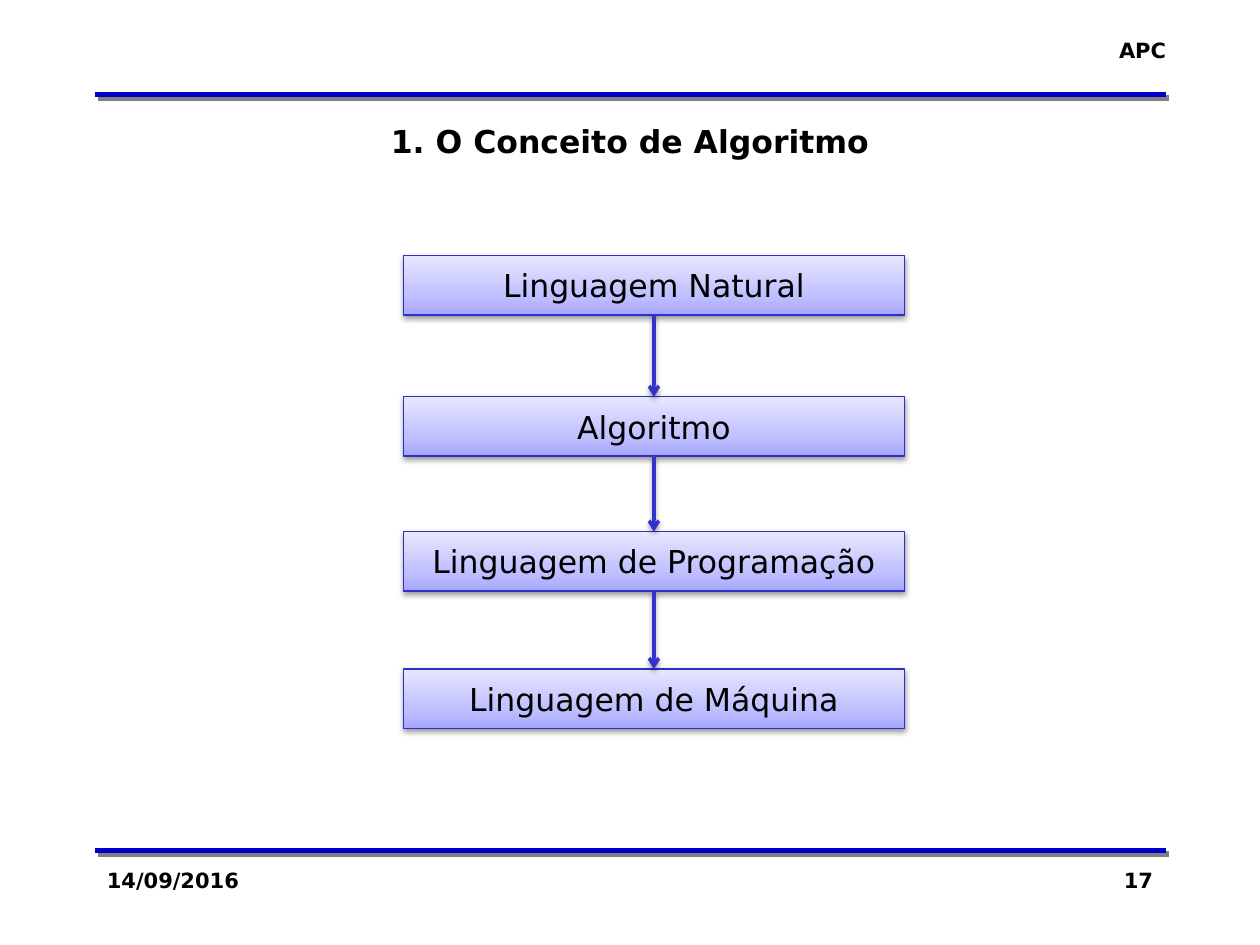
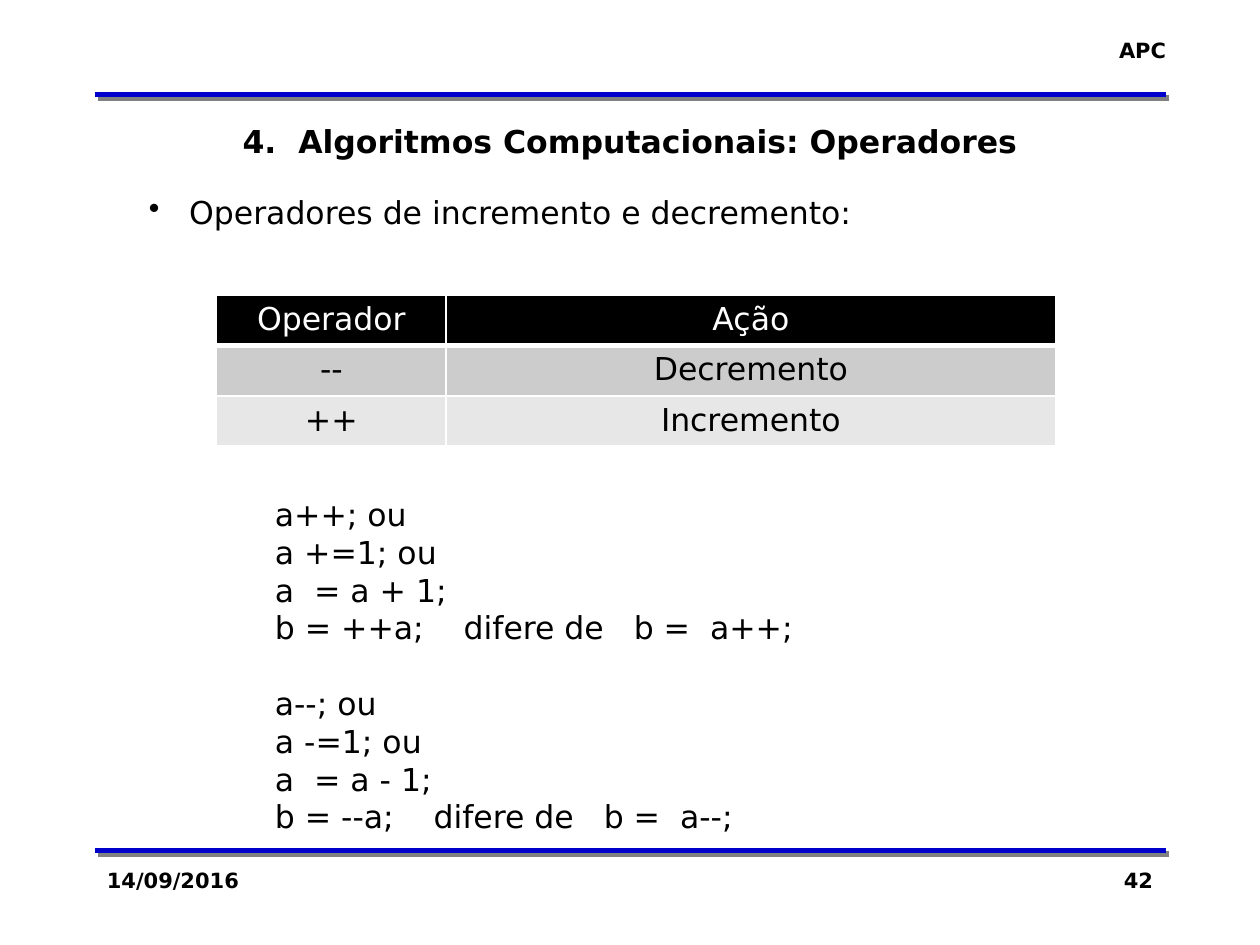
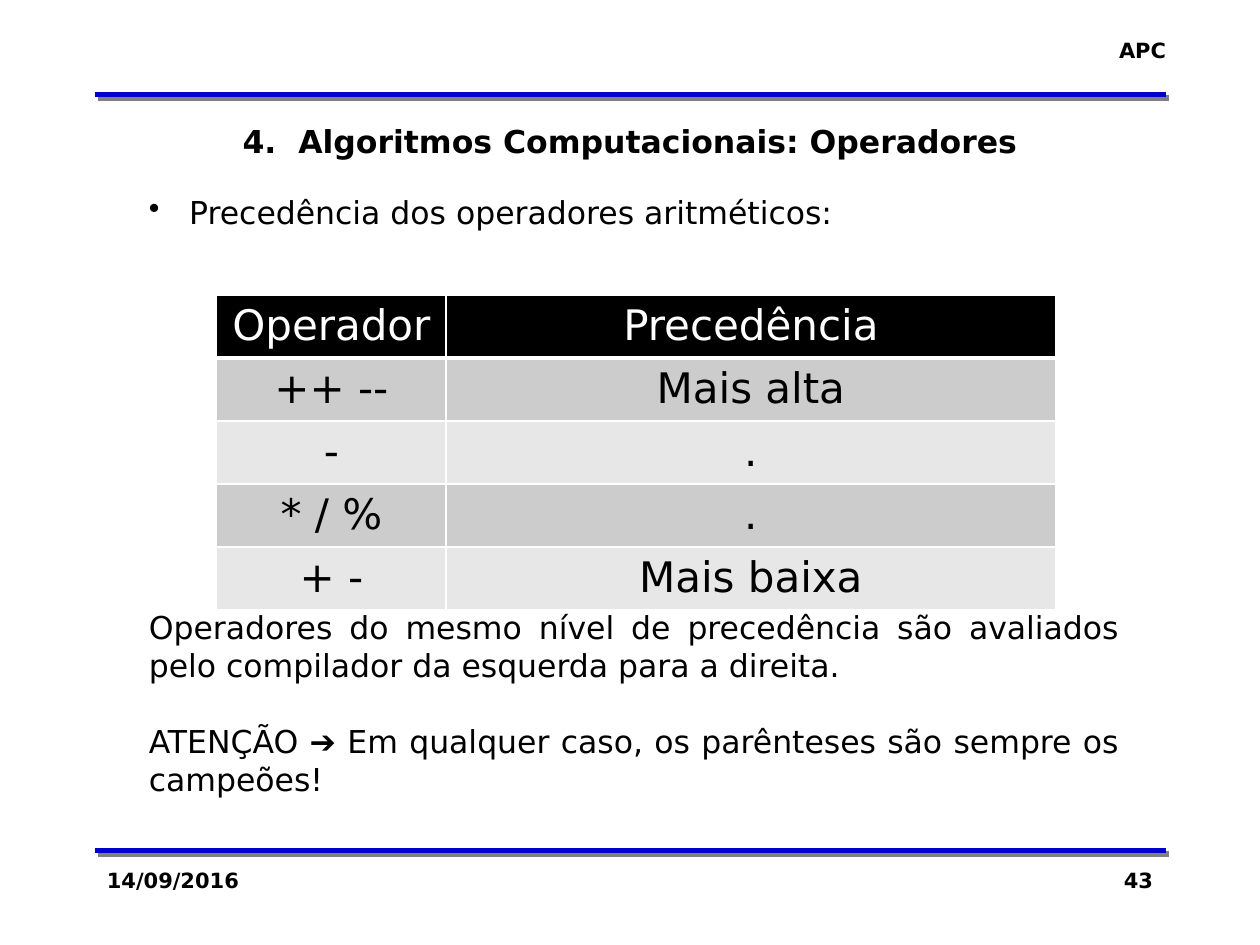
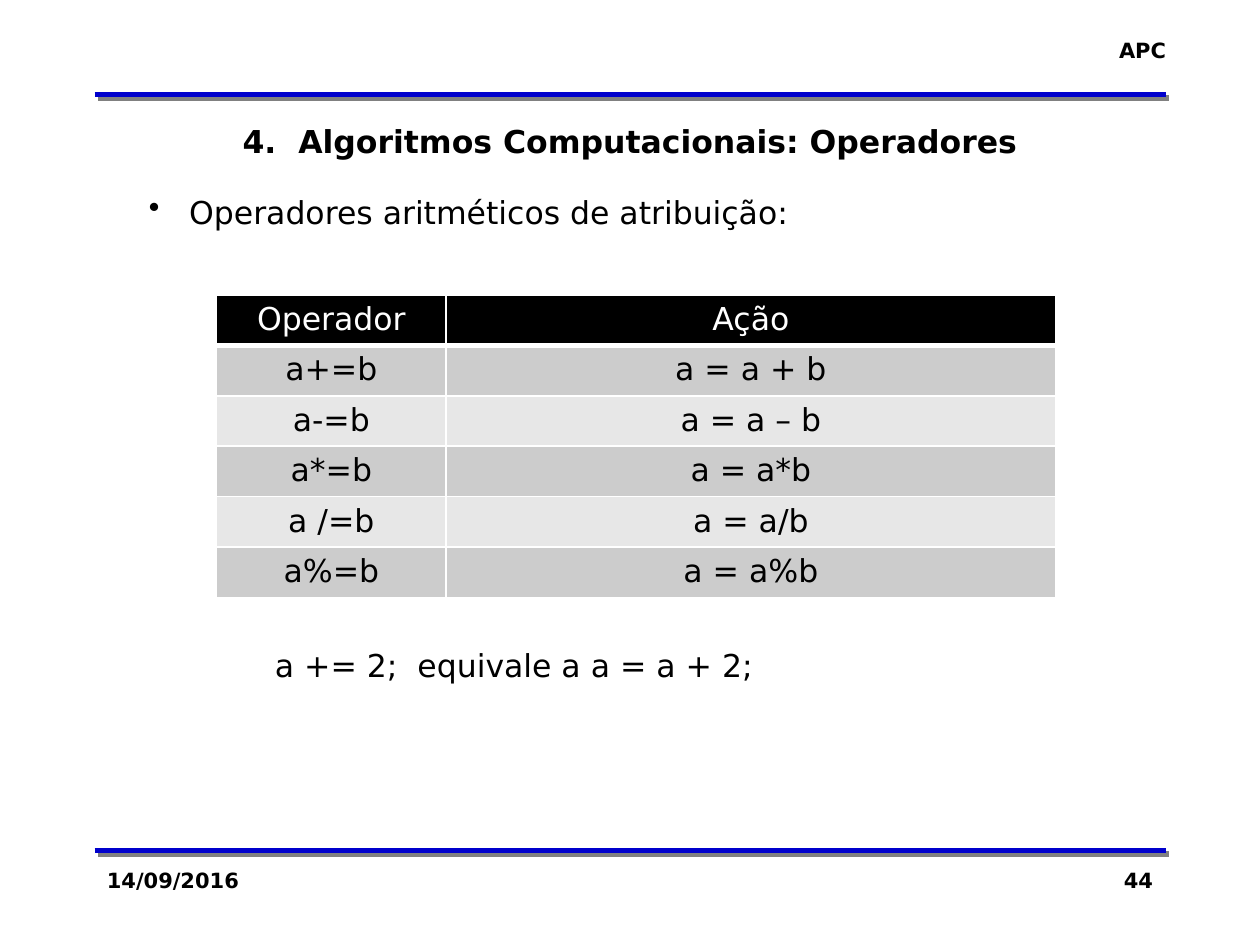
from pptx import Presentation
from pptx.dml.color import RGBColor as RGB
from pptx.enum.shapes import MSO_CONNECTOR as Link, MSO_SHAPE as Form
from pptx.enum.text import MSO_ANCHOR as Anchor, MSO_AUTO_SIZE as Fit, PP_ALIGN as Align
from pptx.oxml import parse_xml
from pptx.oxml.ns import nsdecls
from pptx.util import Inches, Pt

FONT = "DejaVu Sans"
BLACK = RGB(0, 0, 0)
WHITE = RGB(255, 255, 255)
BLUE = RGB(0, 0, 0xCC)
EDGE = RGB(0x2E, 0x2E, 0xCB)
ARROW = RGB(0x33, 0x33, 0xCC)
DARK = RGB(0xCC, 0xCC, 0xCC)
LIGHT = RGB(0xE7, 0xE7, 0xE7)
NS = nsdecls("a")
UNIT = Inches(10) // 120  # the grid has 120 columns and 90 rows
LINE = 21.6  # height of one text line in points


def write(par, text, size=18, bold=False, color=BLACK, align=Align.LEFT):
    par.alignment = align
    run = par.add_run()
    run.text = text
    font = run.font
    font.name, font.size, font.bold = FONT, Pt(size), bold
    font.color.rgb = color


def shade(item, color, alpha, blur, dist, angle):
    item.element.spPr.append(parse_xml(
        f'<a:effectLst {NS}><a:outerShdw blurRad="{Pt(blur)}" dist="{Pt(dist)}" '
        f'dir="{angle * 60000}" algn="ctr" rotWithShape="0"><a:srgbClr val="{color}">'
        f'<a:alpha val="{alpha * 1000}"/></a:srgbClr></a:outerShdw></a:effectLst>'))


deck = Presentation()
deck.slide_width, deck.slide_height = 120 * UNIT, 90 * UNIT
plan = deck.slide_layouts.get_by_name("Title Only")

# Titles, footers and page numbers
TOPIC = "4.  Algoritmos Computacionais: Operadores"
pages = {17: "1. O Conceito de Algoritmo", 42: TOPIC, 43: TOPIC, 44: TOPIC}
slides = {}
for page, name in pages.items():
    slide = slides[page] = deck.slides.add_slide(plan)
    title = slide.shapes.title
    title.left, title.top, title.width, title.height = 9 * UNIT, 11 * UNIT, 102 * UNIT, Inches(0.4)
    title.text_frame.auto_size = Fit.NONE
    write(title.text_frame.paragraphs[0], name, bold=True, align=Align.CENTER)
    for left, text, align in (9, "14/09/2016", Align.LEFT), (86, str(page), Align.RIGHT):
        foot = slide.shapes.add_textbox(left * UNIT, 82 * UNIT, 25 * UNIT, 6 * UNIT)
        foot.text_frame.word_wrap = True
        write(foot.text_frame.paragraphs[0], text, 12, True, align=align)

# Rules and course mark, moved to the shared layout
shapes = slides[17].shapes
tree = plan.shapes.element
for row in 81, 9:
    rule = shapes.add_connector(Link.STRAIGHT, 9 * UNIT, row * UNIT, 111 * UNIT, row * UNIT)
    rule.line.color.rgb, rule.line.width = BLUE, Pt(3)
    shade(rule, "808080", 100, 0, 2.8, 45)
    tree.append(rule.element)
mark = shapes.add_textbox(Inches(8.77), 3 * UNIT, 7 * UNIT, Inches(0.3))
mark.text_frame.word_wrap = False
write(mark.text_frame.paragraphs[0], "APC", 12, True, align=Align.RIGHT)
tree.append(mark.element)

# Flow from natural language to machine language
steps = [(2.03, "Linguagem Natural"), (3.15, "Algoritmo"),
         (4.22, "Linguagem de Programação"), (5.31, "Linguagem de Máquina")]
stops = "".join(f'<a:gs pos="{pos * 1000}"><a:srgbClr val="{color}"/></a:gs>'
                for pos, color in ((0, "A7A7FF"), (35, "C1C1FF"), (100, "E7E7FF")))
boxes = []
for top, text in steps:
    box = shapes.add_shape(Form.RECTANGLE, Inches(3.2), Inches(top), Inches(3.98), Inches(0.47))
    box.element.spPr.append(parse_xml(
        f'<a:gradFill {NS} rotWithShape="1"><a:gsLst>{stops}</a:gsLst>'
        '<a:lin ang="16200000" scaled="0"/></a:gradFill>'))
    box.line.color.rgb, box.line.width = EDGE, Pt(0.75)
    shade(box, "000000", 38, 3.1, 1.6, 90)
    frame = box.text_frame
    frame.word_wrap, frame.vertical_anchor = False, Anchor.MIDDLE
    write(frame.paragraphs[0], text, align=Align.CENTER)
    boxes.append(box)
for start, end in zip(boxes, boxes[1:]):
    arrow = shapes.add_connector(Link.STRAIGHT, 0, 0, 0, 0)
    arrow.begin_connect(start, 2)
    arrow.end_connect(end, 0)
    arrow.line.color.rgb, arrow.line.width = ARROW, Pt(2)
    arrow.line._get_or_add_ln().append(parse_xml(f'<a:tailEnd {NS} type="arrow"/>'))
    shade(arrow, "000000", 38, 3.1, 1.6, 90)

# Operator slides: page, box height, lead, (blank lines above, indent, text), size, rows
topics = [
    (42, 5.55, "Operadores de incremento e decremento:",
     [(7, 1, "a++; ou"), (0, 1, "a +=1; ou"), (0, 1, "a  = a + 1;"),
      (0, 1, "b = ++a;    difere de   b =  a++;"),
      (1, 1, "a--; ou"), (0, 1, "a -=1; ou"), (0, 1, "a  = a - 1;"),
      (0, 1, "b = --a;    difere de   b =  a--;")],
     18, [("Operador", "Ação"), ("--", "Decremento"), ("++", "Incremento")]),
    (43, 4.95, "Precedência dos operadores aritméticos:",
     [(10, 0, "Operadores do mesmo nível de precedência são avaliados "
              "pelo compilador da esquerda para a direita."),
      (1, 0, "ATENÇÃO ➔ Em qualquer caso, os parênteses são sempre os campeões!")],
     24, [("Operador", "Precedência"), ("++ --", "Mais alta"), ("-", "."),
          ("* / %", "."), ("+ -", "Mais baixa")]),
    (44, 4.04, "Operadores aritméticos de atribuição:",
     [(11, 1, "a += 2;  equivale a a = a + 2;")],
     18, [("Operador", "Ação"), ("a+=b", "a = a + b"), ("a-=b", "a = a – b"),
          ("a*=b", "a = a*b"), ("a /=b", "a = a/b"), ("a%=b", "a = a%b")]),
]
for page, height, lead, notes, size, rows in topics:
    shapes = slides[page].shapes

    # Bulleted lead and the lines under the table
    frame = shapes.add_textbox(13 * UNIT, Inches(1.48), Inches(7.9), Inches(height)).text_frame
    frame.word_wrap = True
    par = frame.paragraphs[0]
    write(par, lead, align=Align.JUSTIFY)
    props = par._p.get_or_add_pPr()
    props.set("marL", str(Inches(0.32)))
    props.set("indent", str(-Inches(0.32)))
    props.append(parse_xml(f'<a:buChar {NS} char="•"/>'))
    for blank, indent, text in notes:
        par = frame.add_paragraph()
        par.space_before = Pt(blank * LINE)
        write(par, text, align=Align.JUSTIFY)
        par._p.get_or_add_pPr().set("marL", str(Inches(indent)))

    # Operator table
    step = Inches(0.5 if size == 24 else 0.4)
    table = shapes.add_table(len(rows), 2, Inches(1.72), Inches(2.34),
                             Inches(6.66), step * len(rows)).table
    table.horz_banding = False
    for col, width in zip(table.columns, (1.82, 4.84)):
        col.width = Inches(width)
    for r, texts in enumerate(rows):
        table.rows[r].height = step
        for c, text in enumerate(texts):
            cell = table.cell(r, c)
            props = cell._tc.get_or_add_tcPr()
            for side in "LRTB":
                width = 3 if r == 0 and side == "B" else 1
                props.append(parse_xml(
                    f'<a:ln{side} {NS} w="{Pt(width)}"><a:solidFill>'
                    f'<a:srgbClr val="{WHITE}"/></a:solidFill></a:ln{side}>'))
            cell.fill.solid()
            cell.fill.fore_color.rgb = BLACK if r == 0 else DARK if r % 2 else LIGHT
            write(cell.text_frame.paragraphs[0], text, size,
                  color=BLACK if r else WHITE, align=Align.CENTER)

deck.save("out.pptx")
